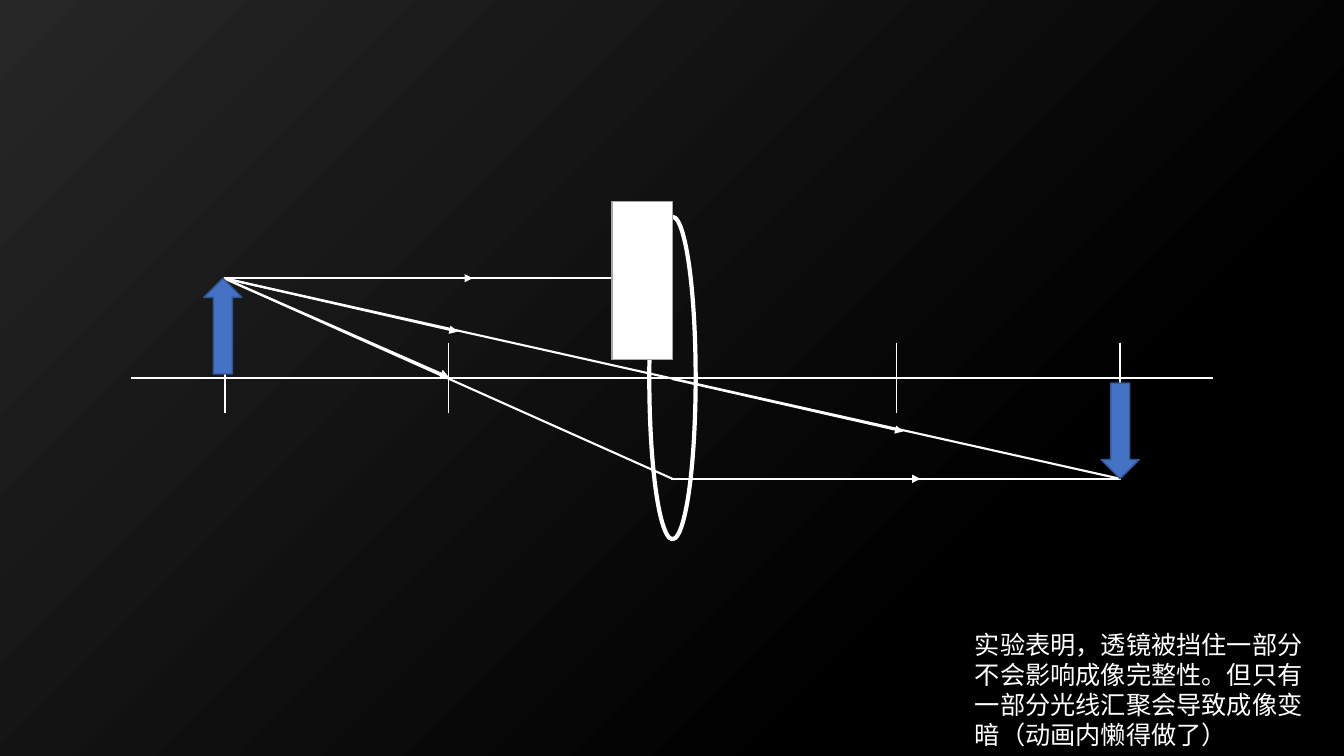
"""Build a slide showing image formation by a partly covered lens."""
from dataclasses import dataclass

from lxml.etree import SubElement
from pptx import Presentation
from pptx.dml.color import RGBColor
from pptx.enum.shapes import MSO_CONNECTOR, MSO_SHAPE
from pptx.enum.text import MSO_AUTO_SIZE
from pptx.oxml.ns import qn
from pptx.shapes.shapetree import GroupShapes
from pptx.slide import Slide
from pptx.util import Inches, Pt

WHITE = "FFFFFF"
FONT = "Noto Sans CJK SC"
LENS_X, FOCAL, AXIS_Y = 6.67, 2.22, 3.75
TIP = (2.22, 2.76)
IMAGE_Y = 4.75
CAPTION = (
    "实验表明，透镜被挡住一部分",
    "不会影响成像完整性。但只有",
    "一部分光线汇聚会导致成像变",
    "暗（动画内懒得做了）",
)


@dataclass(frozen=True)
class Line:
    start: tuple[float, float]
    end: tuple[float, float]
    width: float = 1.5
    arrow: bool = False


@dataclass(frozen=True)
class Figure:
    kind: MSO_SHAPE
    box: tuple[float, float, float, float]
    fill: str | None
    line: str
    width: float = 1
    rotation: float = 0


AXIS = [Line((1.3, AXIS_Y), (12.03, AXIS_Y), 2)] + [
    Line((LENS_X + k * FOCAL, AXIS_Y - 0.35), (LENS_X + k * FOCAL, AXIS_Y + 0.35), 1)
    for k in (-2, -1, 1, 2)
]
LENS = Figure(MSO_SHAPE.OVAL, (6.44, 2.15, 0.46, 3.2), None, WHITE, 3)
RAYS = [
    Line(TIP, (LENS_X, 2.76)),
    Line(TIP, (4.69, 2.76), arrow=True),
    Line(TIP, (11.11, IMAGE_Y)),
    Line(TIP, (4.54, 3.29), arrow=True),
    Line((LENS_X, 3.76), (8.96, 4.28), arrow=True),
    Line(TIP, (LENS_X, IMAGE_Y)),
    Line(TIP, (4.45, 3.74), arrow=True),
    Line((6.66, IMAGE_Y), (11.12, IMAGE_Y)),
    Line((6.66, IMAGE_Y), (9.13, IMAGE_Y), arrow=True),
]
FIGURES = [
    Figure(MSO_SHAPE.RECTANGLE, (6.07, 2, 0.6, 1.57), WHITE, "A6A6A6"),
    Figure(MSO_SHAPE.DOWN_ARROW, (2.02, 2.76, 0.38, 0.95), "4472C4", "325491", rotation=180),
    Figure(MSO_SHAPE.DOWN_ARROW, (10.92, 3.8, 0.38, 0.95), "4472C4", "325491"),
]


def color(value: str) -> RGBColor:
    """Turn a hex string into a colour."""
    return RGBColor.from_string(value)


def set_background(s: Slide) -> None:
    """Fill the background with a gradient running to the lower right corner."""
    fill = s.background.fill
    fill.gradient()
    for stop, (position, value) in zip(fill.gradient_stops, ((0.25, "000000"), (1, "262626"))):
        stop.position = position
        stop.color.rgb = color(value)
    grad = s.background._cSld.find(".//" + qn("a:gradFill"))
    grad.remove(grad.find(qn("a:lin")))
    path = SubElement(grad, qn("a:path"), {"path": "circle"})
    SubElement(path, qn("a:fillToRect"), {"l": "100000", "t": "100000"})


def draw_line(shapes: GroupShapes, line: Line) -> None:
    """Draw a white line, with an arrowhead if asked."""
    points = [Inches(v) for v in (*line.start, *line.end)]
    c = shapes.add_connector(MSO_CONNECTOR.STRAIGHT, *points)
    c.line.color.rgb = color(WHITE)
    c.line.width = Pt(line.width)
    if line.arrow:
        SubElement(c.line._get_or_add_ln(), qn("a:tailEnd"), {"type": "triangle"})
    SubElement(c._element.spPr, qn("a:effectLst"))


def draw_figure(shapes: GroupShapes, figure: Figure) -> None:
    """Draw a preset shape."""
    sp = shapes.add_shape(figure.kind, *(Inches(v) for v in figure.box))
    sp.shadow.inherit = False
    sp.rotation = figure.rotation
    if figure.fill:
        sp.fill.solid()
        sp.fill.fore_color.rgb = color(figure.fill)
    else:
        sp.fill.background()
    sp.line.color.rgb = color(figure.line)
    sp.line.width = Pt(figure.width)


def add_caption(s: Slide) -> None:
    """Write the conclusion at the lower right."""
    tf = s.shapes.add_textbox(Inches(9.57), Inches(6.19), Inches(3.48), Inches(1.31)).text_frame
    tf.word_wrap = False
    tf.auto_size = MSO_AUTO_SIZE.SHAPE_TO_FIT_TEXT
    tf.text = "\n".join(CAPTION)
    for p in tf.paragraphs:
        p.font.size = Pt(18)
        p.font.color.rgb = color(WHITE)
        p.font.name = FONT
        SubElement(p.font._element, qn("a:ea"), {"typeface": FONT})


def main() -> None:
    """Build and save the slide."""
    prs = Presentation()
    prs.slide_width, prs.slide_height = Inches(13.33), Inches(7.5)
    s = prs.slides.add_slide(prs.slide_layouts[6])
    set_background(s)
    shapes = s.shapes.add_group_shape().shapes
    for line in AXIS:
        draw_line(shapes, line)
    draw_figure(shapes, LENS)
    for ray in RAYS:
        draw_line(shapes, ray)
    for figure in FIGURES:
        draw_figure(shapes, figure)
    add_caption(s)
    prs.save("out.pptx")


if __name__ == "__main__":
    main()
